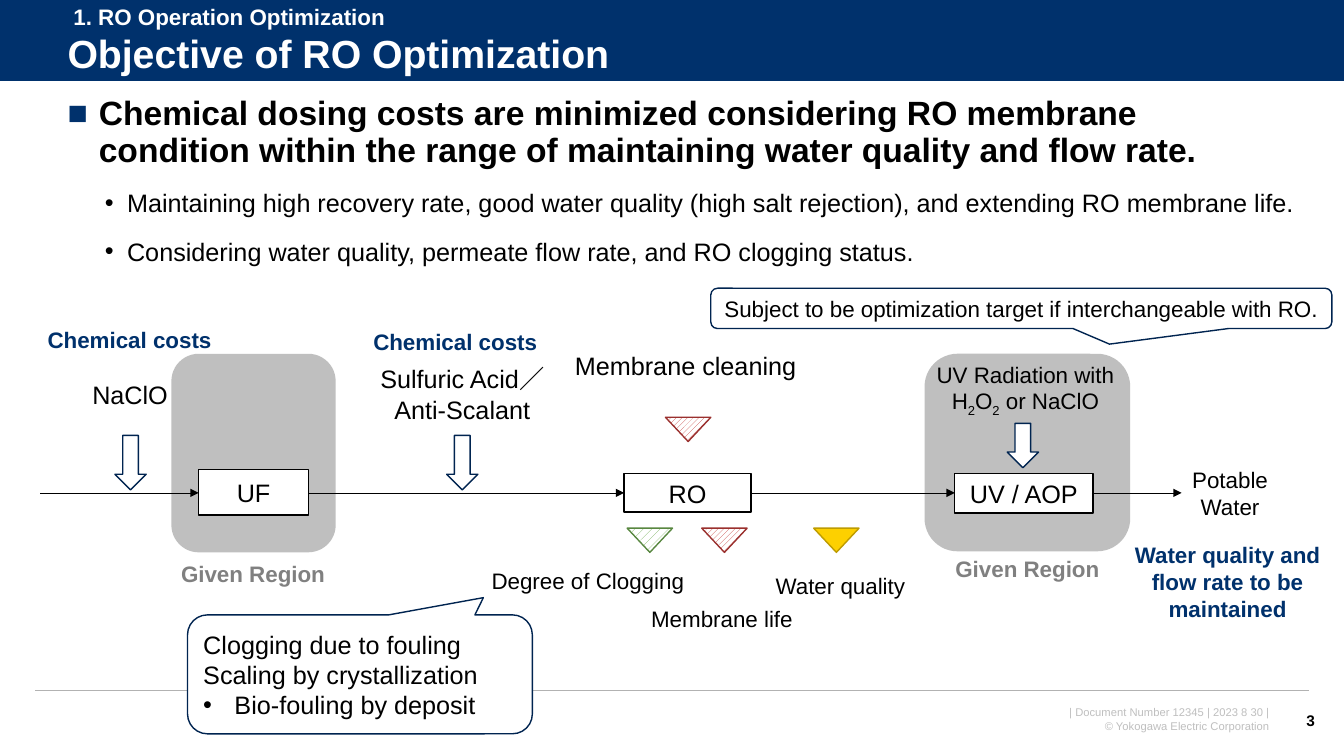
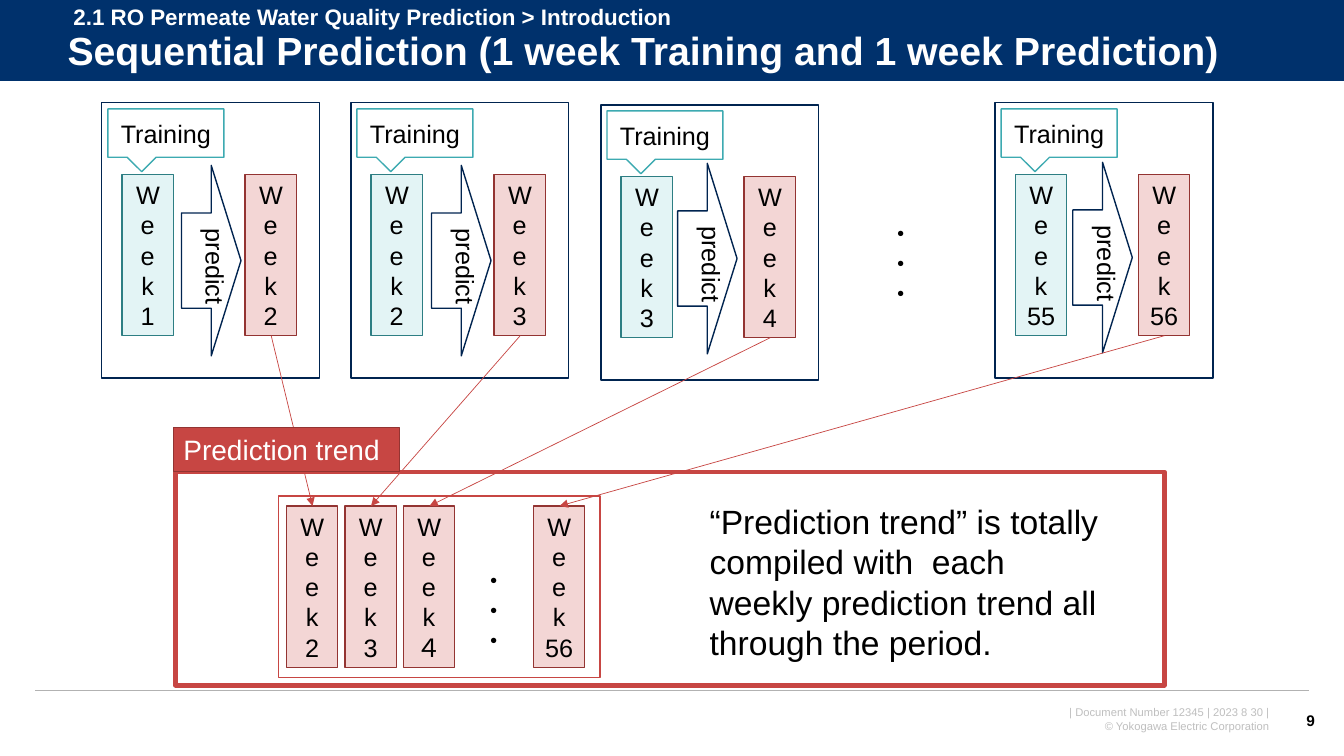
from lxml.etree import SubElement
from pptx import Presentation
from pptx.dml.color import RGBColor
from pptx.enum.dml import MSO_PATTERN
from pptx.enum.shapes import MSO_CONNECTOR, MSO_SHAPE
from pptx.enum.text import MSO_ANCHOR, MSO_AUTO_SIZE, PP_ALIGN
from pptx.oxml.ns import qn
from pptx.util import Inches, Pt

HUES = {
    "navy": "00316C", "ink": "002450", "black": "000000", "white": "FFFFFF",
    "rule": "B2B2B2", "pale": "BFBFBF", "gray": "808080",
    "red": "C74643", "brick": "9A302E", "wine": "933432", "pink": "F3D6D5",
    "mint": "E3F4F5", "teal": "2D7E83", "aqua": "3DAAB1",
    "gold": "FDD000", "ochre": "BE9C00", "green": "76B059", "moss": "588740",
}
RGB = {name: RGBColor.from_string(code) for name, code in HUES.items()}
FONT = {"name": "Arial", "size": Pt(18), "bold": False}
SMALL = {"size": Pt(16)}
STRONG = {"size": Pt(16), "bold": True}
LEFT, MID, RIGHT = PP_ALIGN.LEFT, PP_ALIGN.CENTER, PP_ALIGN.RIGHT
TOP, CORE = MSO_ANCHOR.TOP, MSO_ANCHOR.MIDDLE


def put(page, kind, at, text="", fill=None, edge=None, width=1, adj=(), hue="black",
        align=MID, anchor=TOP, wrap=True, space=None, font={}):
    """Place a text box (kind None), a preset shape or a placeholder; _x_ is a subscript."""
    spot = [Inches(n) for n in at]
    if kind is None:
        shape = page.shapes.add_textbox(*spot)
    elif isinstance(kind, MSO_SHAPE):
        shape = page.shapes.add_shape(kind, *spot)
        shape.shadow.inherit = False
    else:
        shape = kind
        shape.left, shape.top, shape.width, shape.height = spot
    for n, value in enumerate(adj):
        shape.adjustments[n] = value
    if fill:
        shape.fill.solid()
        shape.fill.fore_color.rgb = RGB[fill]
    else:
        shape.fill.background()
    if edge:
        shape.line.color.rgb = RGB[edge]
        shape.line.width = Pt(width)
    else:
        shape.line.fill.background()
    frame = shape.text_frame
    frame.auto_size = MSO_AUTO_SIZE.NONE
    frame.word_wrap = wrap
    frame.vertical_anchor = anchor
    for n, row in enumerate(text.split("\n") if text else []):
        par = frame.add_paragraph() if n else frame.paragraphs[0]
        par.alignment = align
        par.space_before = Pt(0)
        if space:
            par.line_spacing = space
        for k, part in enumerate(row.split("_")):
            run = par.add_run()
            run.text = part
            for key, value in {**FONT, **font}.items():
                setattr(run.font, key, value)
            run.font.color.rgb = RGB[hue]
            if k % 2:
                run.font._element.set("baseline", "-25000")
    return shape


def link(page, ends, hue="black", width=0.5, head=True):
    """Draw a straight line, with an arrowhead at its end if asked."""
    line = page.shapes.add_connector(MSO_CONNECTOR.STRAIGHT, *[Inches(n) for n in ends])
    line.line.color.rgb = RGB[hue]
    line.line.width = Pt(width)
    props = line.element.spPr
    if head:
        SubElement(props.find(qn("a:ln")), qn("a:tailEnd"), type="triangle")
    SubElement(props, qn("a:effectLst"))
    return line


deck = Presentation()
deck.slide_width, deck.slide_height = Inches(13.33), Inches(7.5)
flow = deck.slides.add_slide(deck.slide_layouts[1])
weeks = deck.slides.add_slide(deck.slide_layouts[5])

# Band, rules and footer: moved to the master so both slides share them
shared = [
    put(flow, MSO_SHAPE.RECTANGLE, (0, 0, 13.33, 0.81), fill="navy"),
    link(flow, (0, 0.81, 13.33, 0.81), "white", 0.75, False),
    link(flow, (0.35, 6.85, 12.98, 6.85), "rule", 1, False),
    put(flow, None, (9.48, 6.95, 3.21, 0.37),
        "| Document Number 12345 | 2023 8 30 |\n© Yokogawa Electric Corporation",
        hue="pale", align=RIGHT, font={"size": Pt(8)}),
]
for n, part in enumerate(shared):
    part.element.xpath(".//p:cNvPr")[0].set("id", str(101 + n))
    deck.slide_master.shapes._spTree.append(part.element)

# Title, section and page number
heads = [
    (flow, 0.27, "Objective of RO Optimization", "1. RO Operation Optimization", "3"),
    (weeks, 0.24, "Sequential Prediction (1 week Training and 1 week Prediction)",
     "2.1 RO Permeate Water Quality Prediction > Introduction", "9"),
]
for page, top, title, part, count in heads:
    put(page, page.shapes.title, (0.57, top, 12.47, 0.57), title, hue="white", align=LEFT,
        anchor=CORE, space=0.9, font={"size": Pt(28), "bold": True})
    put(page, None, (0.63, -0.02, 6.32, 0.37), part, hue="white", align=LEFT, font=STRONG)
    put(page, None, (12.7, 6.95, 0.44, 0.4), count, align=RIGHT, anchor=CORE,
        font={"size": Pt(11), "bold": True})

# Slide 1: main points
body = put(flow, flow.placeholders[1], (0.57, 0.91, 12.4, 1.8),
           "Chemical dosing costs are minimized considering RO membrane condition within "
           "the range of maintaining water quality and flow rate.\n"
           "Maintaining high recovery rate, good water quality (high salt rejection), "
           "and extending RO membrane life.\n"
           "Considering water quality, permeate flow rate, and RO clogging status.",
           align=LEFT, space=1.0)
first, *rest = body.text_frame.paragraphs
first.line_spacing = 0.9
for key, value in {"size": Pt(24), "bold": True}.items():
    setattr(first.runs[0].font, key, value)
for par in rest:
    par.level = 1
    par.space_before = Pt(13)

# Given regions and process steps
for at in [(9.17, 3.51, 2.04, 1.96), (1.7, 3.51, 1.63, 1.97)]:
    put(flow, MSO_SHAPE.ROUNDED_RECTANGLE, at, fill="pale")
steps = [("UF", 1.97, 4.66, 1.09, 0.45), ("RO", 6.19, 4.7, 1.26, 0.38),
         ("UV / AOP", 9.47, 4.7, 1.37, 0.39)]
for name, *at in steps:
    put(flow, MSO_SHAPE.RECTANGLE, at, name, "white", "black", anchor=CORE)
for start, end in [(0.4, 1.97), (3.06, 6.19), (7.45, 9.47), (10.83, 11.72)]:
    link(flow, (start, 4.89, end, 4.89))

# Dosing arrows
for at in [(1.14, 4.32, 0.31, 0.54), (4.43, 4.32, 0.31, 0.54), (9.99, 4.2, 0.31, 0.44)]:
    put(flow, MSO_SHAPE.DOWN_ARROW, at, fill="white", edge="ink")

# Marks for water quality, clogging, membrane life and cleaning
marks = [
    (8.07, 5.24, "gold", "ochre", None),
    (6.22, 5.24, "green", "moss", MSO_PATTERN.PERCENT_20),
    (6.96, 5.24, "red", "brick", MSO_PATTERN.WIDE_UPWARD_DIAGONAL),
    (6.6, 4.14, "red", "brick", MSO_PATTERN.WIDE_UPWARD_DIAGONAL),
]
for left, top, fill, edge, weave in marks:
    mark = put(flow, MSO_SHAPE.ISOSCELES_TRIANGLE, (left, top, 0.45, 0.24), "", fill, edge)
    mark.rotation = 180
    if weave:
        mark.fill.patterned()
        mark.fill.pattern = weave
        mark.fill.fore_color.rgb = RGB[fill]
        mark.fill.back_color.rgb = RGB["white"]

# Labels
labels = [
    ("NaClO", (0.72, 3.71, 1.14, 0.4), "black", {}),
    ("Sulfuric Acid／Anti-Scalant", (3.61, 3.56, 1.95, 0.71), "black", {}),
    ("Membrane cleaning", (5.5, 3.43, 2.6, 0.4), "black", {}),
    ("Potable Water", (11.72, 4.58, 0.96, 0.64), "black", SMALL),
    ("UV Radiation with H_2_O_2_ or NaClO", (9.06, 3.53, 2.22, 0.64), "black", SMALL),
    ("Water quality", (7.54, 5.63, 1.59, 0.37), "black", SMALL),
    ("Degree of Clogging", (4.77, 5.58, 2.12, 0.37), "black", SMALL),
    ("Membrane life", (6.22, 5.95, 1.88, 0.37), "black", SMALL),
    ("Given Region", (9.29, 5.46, 1.8, 0.37), "gray", STRONG),
    ("Given Region", (1.61, 5.51, 1.8, 0.37), "gray", STRONG),
    ("Chemical costs", (0.19, 3.19, 2.19, 0.37), "navy", STRONG),
    ("Chemical costs", (3.42, 3.21, 2.19, 0.37), "navy", STRONG),
    ("Water quality and flow rate to be maintained", (11.02, 5.32, 2.31, 0.91), "navy", STRONG),
]
for text, at, hue, font in labels:
    put(flow, None, at, text, hue=hue, font=font)

# Callouts
put(flow, MSO_SHAPE.ROUNDED_RECTANGULAR_CALLOUT, (7.05, 2.86, 6.16, 0.4),
    "Subject to be optimization target if interchangeable with RO.", "white", "ink",
    adj=(0.142, 0.886, 0.167), anchor=CORE, font=SMALL)
note = put(flow, MSO_SHAPE.ROUNDED_RECTANGULAR_CALLOUT, (1.86, 6.1, 3.42, 1.18),
           "Clogging due to fouling\nScaling by crystallization\nBio-fouling by deposit",
           "white", "ink", adj=(0.358, -0.645, 0.167), align=LEFT, anchor=CORE)

# Bullets
dots = [(first, "■", 0.31, 0.31, "navy"), *[(par, "•", 0.59, 0.22, "black") for par in rest],
        (note.text_frame.paragraphs[2], "•", 0.31, 0.31, "black")]
for par, sign, left, hang, hue in dots:
    props = par._p.get_or_add_pPr()
    props.set("marL", str(Inches(left)))
    props.set("indent", str(-Inches(hang)))
    SubElement(SubElement(props, qn("a:buClr")), qn("a:srgbClr"), val=HUES[hue])
    SubElement(props, qn("a:buFont"), typeface="Arial")
    SubElement(props, qn("a:buChar"), char=sign)

# Slide 2: trend panel
put(weeks, MSO_SHAPE.RECTANGLE, (1.74, 4.68, 9.81, 2.12), edge="red", width=3)
put(weeks, MSO_SHAPE.RECTANGLE, (2.76, 4.92, 3.19, 1.8), edge="red")
put(weeks, None, (6.94, 4.92, 4.18, 1.72),
    "“Prediction trend” is totally compiled with  each weekly prediction trend "
    "all through the period.", align=LEFT, font={"size": Pt(24)})

# Weekly cycles: frame corner, arrow corner, the two weeks, trend week and its left edge
cycles = [
    (1.01, 1.02, 1.8, 1.64, "k 1", "k 2", "k 2", 2.84),
    (3.48, 1.02, 4.28, 1.64, "k 2", "k 3", "k 3", 3.42),
    (5.96, 1.04, 6.72, 1.62, "k 3", "k 4", "k４", 4.0),
    (9.87, 1.02, 10.64, 1.61, "k 55", "k 56", "k 56", 5.29),
]
for left, top, tip, rise, past, next_, trend, goal in cycles:
    put(weeks, MSO_SHAPE.RECTANGLE, (left, top, 2.16, 2.73), fill="white", edge="ink")
    bars = [(left + 0.2, top + 0.71, past, "mint", "teal"),
            (left + 1.42, top + 0.71, next_, "pink", "wine"),
            (goal, 5.02, trend, "pink", "wine")]
    for x, y, week, fill, edge in bars:
        put(weeks, MSO_SHAPE.RECTANGLE, (x, y, 0.51, 1.6), f"We\ne\n{week}", fill, edge,
            anchor=CORE)
    put(weeks, MSO_SHAPE.RECTANGULAR_CALLOUT, (left + 0.06, top + 0.06, 1.15, 0.48),
        "Training", "white", "aqua", adj=(-0.208, 0.8), anchor=CORE)
    put(weeks, MSO_SHAPE.RIGHT_ARROW, (tip, rise, 0.59, 1.89), fill="white", edge="ink")
    word = put(weeks, None, (tip + 0.04, rise + 0.53, 0.5, 0.86), "predict", align=LEFT,
               wrap=False)
    word.text_frame._txBody.bodyPr.set("vert", "eaVert")
    link(weeks, (left + 1.68, top + 2.31, goal + 0.26, 5.02), "red")

# Gaps between weeks, and the panel's label
for left, top in [(8.71, 2.12), (4.68, 5.56)]:
    put(weeks, None, (left, top, 0.58, 1), "・\n・\n・", align=LEFT, space=Pt(21.5))
put(weeks, MSO_SHAPE.RECTANGLE, (1.72, 4.24, 2.24, 0.44), "Prediction trend", "red", "wine",
    hue="white", align=LEFT, font={"size": Pt(20)})

deck.save("out.pptx")
